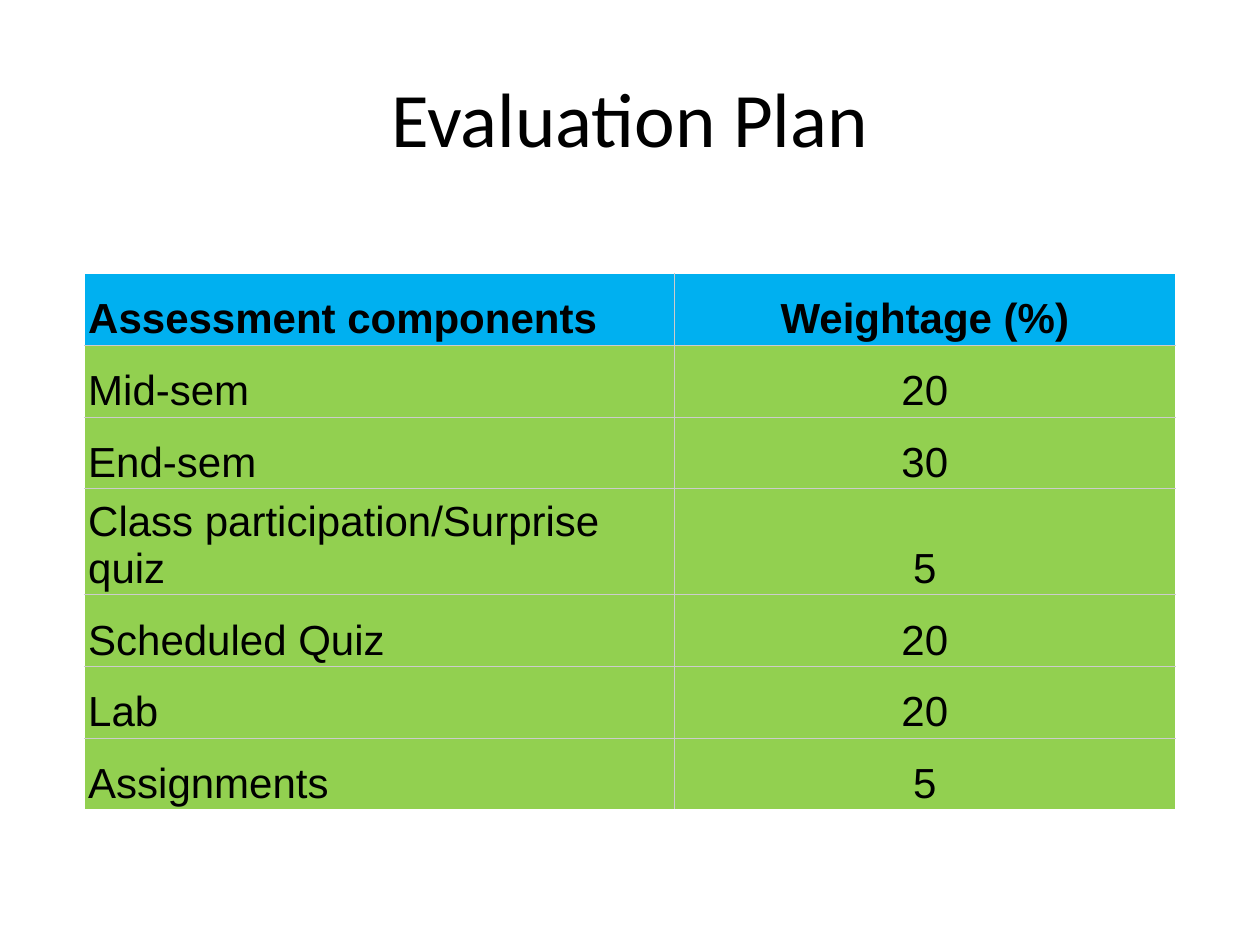
from lxml import etree
from pptx import Presentation
from pptx.dml.color import RGBColor
from pptx.enum.text import MSO_ANCHOR, PP_ALIGN
from pptx.oxml.ns import qn
from pptx.util import Inches, Pt

CENTER, LEFT = PP_ALIGN.CENTER, PP_ALIGN.LEFT
MIDDLE, BOTTOM = MSO_ANCHOR.MIDDLE, MSO_ANCHOR.BOTTOM

TITLE = "Evaluation Plan"
ROWS = [
    ("Assessment components", "Weightage (%)"),
    ("Mid-sem", "20"),
    ("End-sem", "30"),
    ("Class participation/Surprise quiz", "5"),
    ("Scheduled Quiz", "20"),
    ("Lab", "20"),
    ("Assignments", "5"),
]
COLORS = {"text": "000000", "header": "00B0F0", "body": "92D050",
          "outer": "FFFFFF", "inner": "CCCCCC"}
COL_WIDTHS = (4.68, 3.98)
COL_ALIGNS = (LEFT, CENTER)
ROW_HEIGHT = 0.57
BORDER_WIDTH = Pt(0.6)


def write(tf, text, font, size, align, bold=False):
    """Set the text of a frame and format it."""
    tf.text = text
    p = tf.paragraphs[0]
    p.alignment = align
    r = p.runs[0]
    r.font.name, r.font.size, r.font.bold = font, Pt(size), bold
    r.font.color.rgb = RGBColor.from_string(COLORS["text"])


def set_borders(cell, outer_sides):
    """Draw the four cell borders, with the outer colour on the given sides."""
    tc_pr = cell._tc.get_or_add_tcPr()
    for i, (side, is_outer) in enumerate(outer_sides.items()):
        ln = etree.Element(qn("a:" + side), w=str(BORDER_WIDTH))
        fill = etree.SubElement(ln, qn("a:solidFill"))
        color = COLORS["outer" if is_outer else "inner"]
        etree.SubElement(fill, qn("a:srgbClr"), val=color)
        tc_pr.insert(i, ln)


def add_title(slide):
    """Add the centred slide title."""
    sp = slide.shapes.add_textbox(Inches(0.5), Inches(0.3), Inches(9), Inches(1.25))
    tf = sp.text_frame
    tf.word_wrap = True
    tf.vertical_anchor = MIDDLE
    write(tf, TITLE, "Calibri", 44, CENTER)


def add_plan_table(slide):
    """Add the table of assessment components and their weights."""
    n_rows, n_cols = len(ROWS), len(COL_WIDTHS)
    table = slide.shapes.add_table(
        n_rows, n_cols, Inches(0.67), Inches(2.17),
        Inches(sum(COL_WIDTHS)), Inches(ROW_HEIGHT * n_rows)).table
    for column, width in zip(table.columns, COL_WIDTHS):
        column.width = Inches(width)
    for i, row in enumerate(ROWS):
        table.rows[i].height = Inches(ROW_HEIGHT)
        for j, text in enumerate(row):
            cell = table.cell(i, j)
            cell.vertical_anchor = BOTTOM
            cell.margin_left = cell.margin_right = Inches(0.03)
            cell.margin_top = cell.margin_bottom = Inches(0.02)
            cell.fill.solid()
            cell.fill.fore_color.rgb = RGBColor.from_string(
                COLORS["body" if i else "header"])
            write(cell.text_frame, text, "Arial", 24, COL_ALIGNS[j], bold=i == 0)
            set_borders(cell, {"lnL": j == 0, "lnR": j == n_cols - 1,
                               "lnT": i == 0, "lnB": i == n_rows - 1})


prs = Presentation()
prs.slide_width, prs.slide_height = Inches(10), Inches(7.5)
slide = prs.slides.add_slide(prs.slide_layouts[6])
add_title(slide)
add_plan_table(slide)
prs.save("out.pptx")
